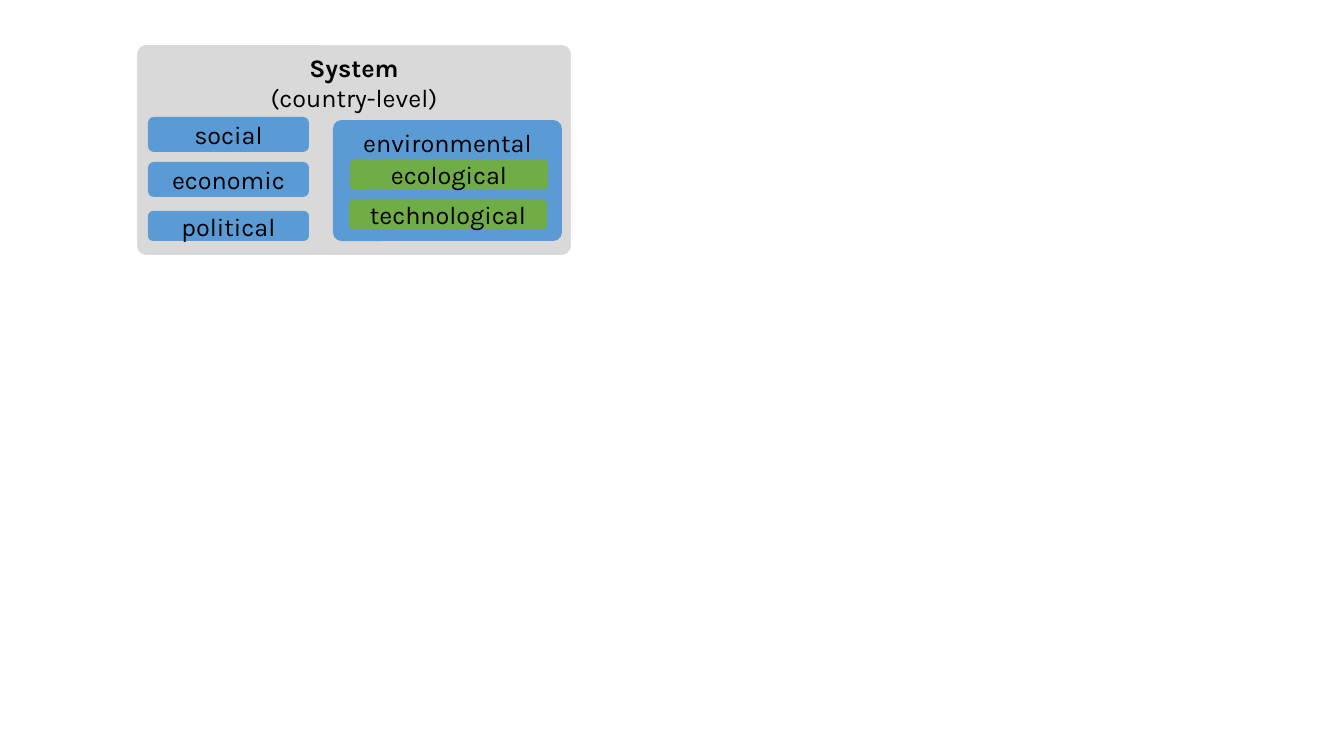
from pptx import Presentation
from pptx.dml.color import RGBColor
from pptx.enum.shapes import MSO_SHAPE
from pptx.enum.text import MSO_ANCHOR, PP_ALIGN
from pptx.util import Emu, Pt

GREY = RGBColor(0xD9, 0xD9, 0xD9)
BLUE = RGBColor(0x5B, 0x9B, 0xD5)
GREEN = RGBColor(0x70, 0xAD, 0x47)
WHITE = RGBColor(0xFF, 0xFF, 0xFF)
BLACK = RGBColor(0x00, 0x00, 0x00)


def px(length):
    return Emu(round(length * 914400 / 100.8))


def add_box(page, place, lines, fill, corner=0.167, anchor=MSO_ANCHOR.MIDDLE):
    box = page.shapes.add_shape(MSO_SHAPE.ROUNDED_RECTANGLE, *map(px, place))
    box.adjustments[0] = corner
    box.shadow.inherit = False
    box.fill.solid()
    box.fill.fore_color.rgb = fill
    box.line.fill.background()
    frame = box.text_frame
    frame.word_wrap = True
    frame.vertical_anchor = anchor
    for index, line in enumerate(lines):
        para = frame.add_paragraph() if index else frame.paragraphs[0]
        para.alignment = PP_ALIGN.CENTER
        span = para.add_run()
        span.text = line
        for name, value in {"name": "Karla", "size": Pt(18), "bold": False}.items():
            setattr(span.font, name, value)
        span.font.color.rgb = BLACK
    return box


deck = Presentation()
deck.slide_width, deck.slide_height = px(1344), px(756)
page = deck.slides.add_slide(deck.slide_layouts[6])

# System panel with bold heading
system = add_box(page, (136, 44, 436, 212), ["System", "(country-level)"],
                 GREY, 0.049, MSO_ANCHOR.TOP)
system.line.color.rgb = WHITE
system.line.width = Pt(1.5)
system.text_frame.paragraphs[0].runs[0].font.bold = True

# Left column of subsystems
for label, top, height in [("social", 117, 35), ("economic", 162, 35), ("political", 211, 30)]:
    add_box(page, (148, top, 161, height), [label], BLUE)

# Environmental subsystem and its two parts
add_box(page, (333, 120, 229, 121), ["environmental"], BLUE, 0.071, MSO_ANCHOR.TOP)
for label, left, top in [("ecological", 350, 159), ("technological", 349, 199)]:
    add_box(page, (left, top, 198, 31), [label], GREEN, 0.157)

deck.save("out.pptx")
